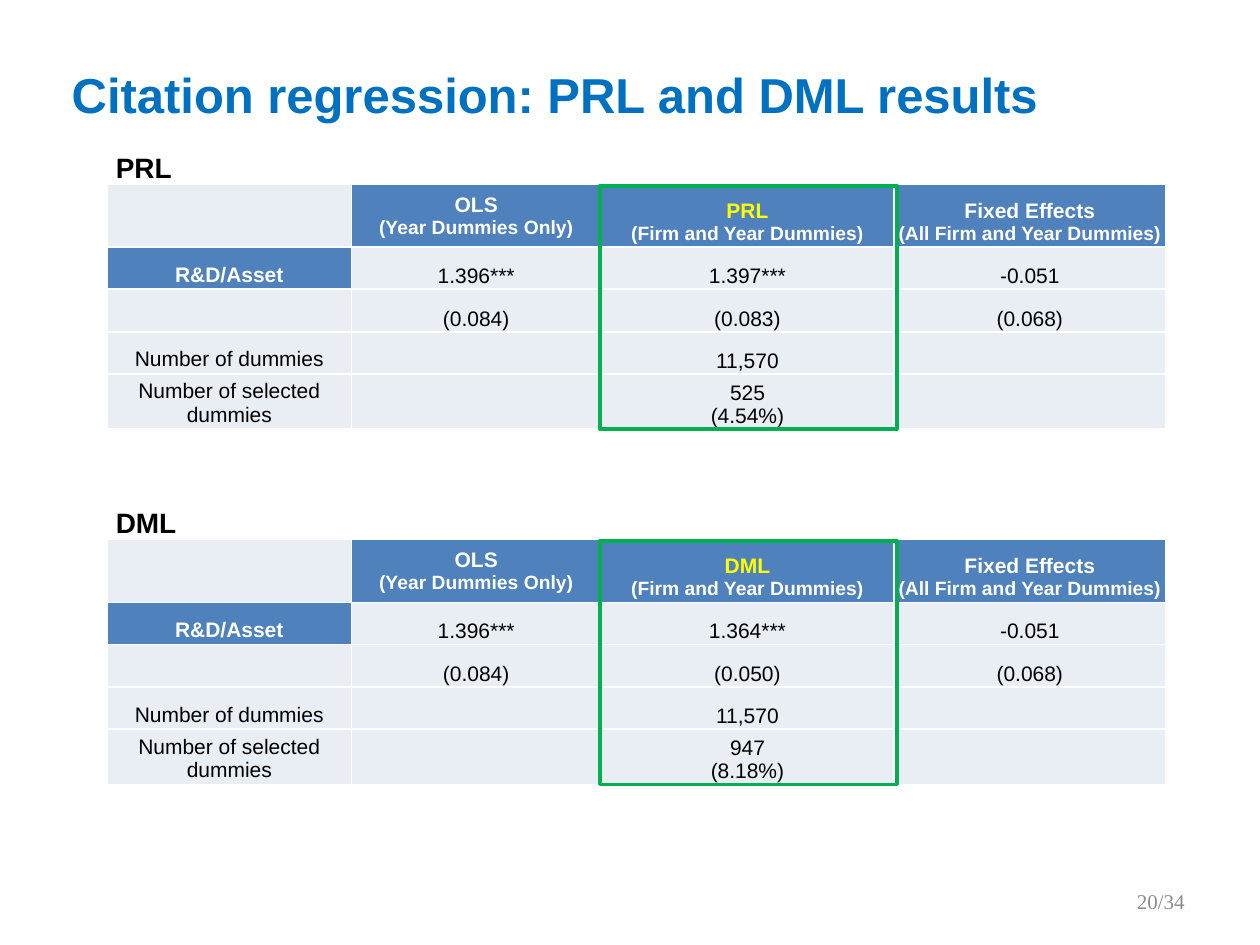
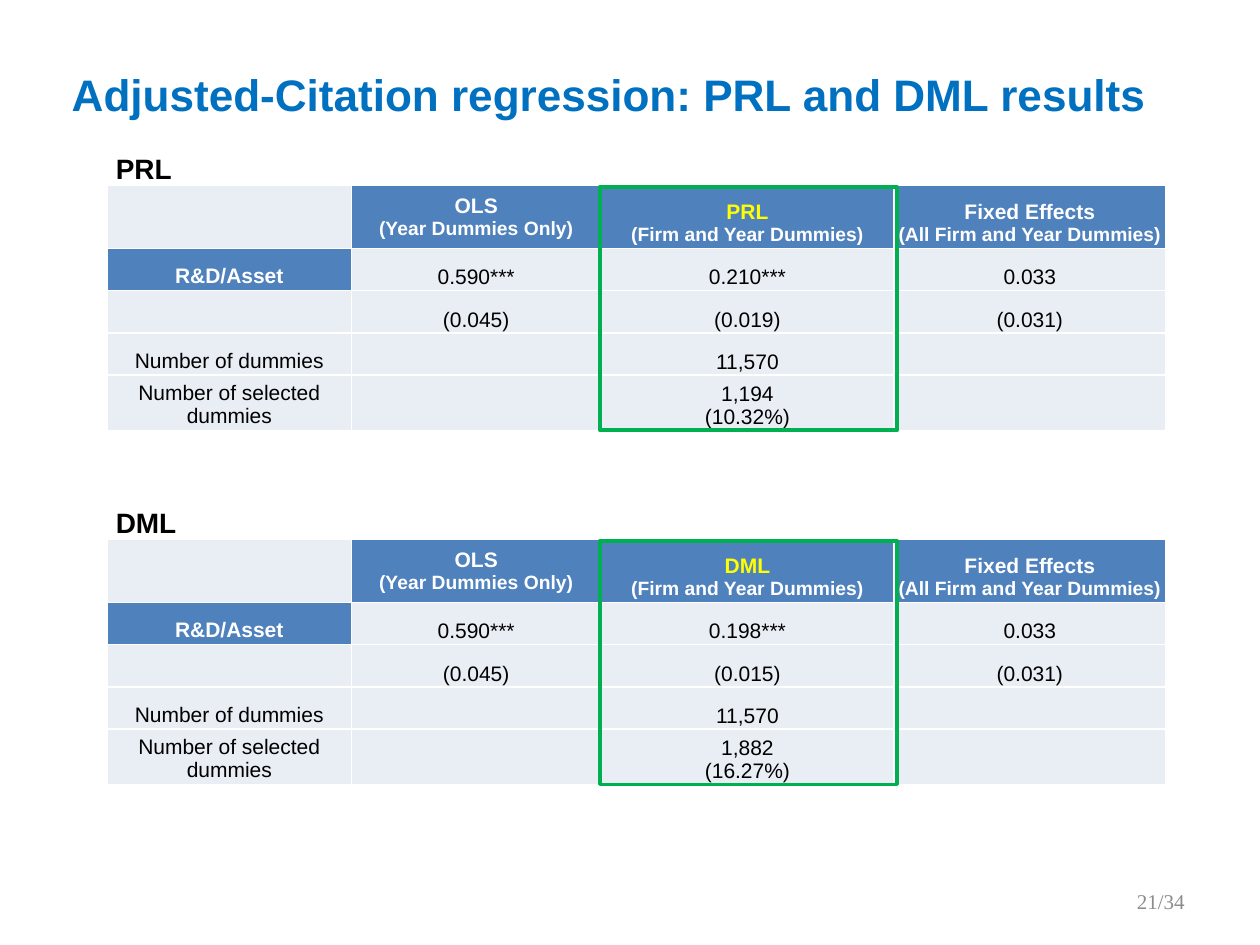
from lxml import etree
from pptx import Presentation
from pptx.dml.color import RGBColor
from pptx.enum.shapes import MSO_SHAPE
from pptx.enum.text import MSO_ANCHOR, MSO_AUTO_SIZE, PP_ALIGN
from pptx.oxml.ns import qn
from pptx.util import Pt

LEFT, CENTER, RIGHT = PP_ALIGN.LEFT, PP_ALIGN.CENTER, PP_ALIGN.RIGHT
MIDDLE, BOTTOM = MSO_ANCHOR.MIDDLE, MSO_ANCHOR.BOTTOM
RECTANGLE, NO_AUTOFIT = MSO_SHAPE.RECTANGLE, MSO_AUTO_SIZE.NONE

TITLE_BLUE = RGBColor(0x00, 0x70, 0xC0)
HEADER_BLUE = RGBColor(0x4F, 0x81, 0xBD)
BODY_GREY = RGBColor(0xE9, 0xED, 0xF4)
NUMBER_GREY = RGBColor(0x8C, 0x8C, 0x8C)
FRAME_GREEN = RGBColor(0x00, 0xB0, 0x50)
YELLOW = RGBColor(0xFF, 0xFF, 0x00)
WHITE = RGBColor(0xFF, 0xFF, 0xFF)
BLACK = RGBColor(0x00, 0x00, 0x00)

COLUMN_WIDTHS = [139.7, 142.5, 167.5, 155.2]
ROW_HEIGHTS = [20.2, 36, 24, 24, 24, 29.7]
TABLE_LEFT = 61.2
SLIDE_TOTAL = 34

# Per slide: number, title, title size, OLS and fixed-effects results,
# then per method: name, table top, estimate, error, selected dummies, share.
RESULTS = [
    (20, "Citation regression: PRL and DML results", 28,
     ("1.396***", "(0.084)"), ("-0.051", "(0.068)"),
     [("PRL", 85, "1.397***", "(0.083)", "525", "(4.54%)"),
      ("DML", 288, "1.364***", "(0.050)", "947", "(8.18%)")]),
    (21, "Adjusted-Citation regression: PRL and DML results", 25.2,
     ("0.590***", "(0.045)"), ("0.033", "(0.031)"),
     [("PRL", 85.7, "0.210***", "(0.019)", "1,194", "(10.32%)"),
      ("DML", 288, "0.198***", "(0.015)", "1,882", "(16.27%)")]),
]


def write(frame, text, sizes=(12,), colors=(BLACK,), bold=False,
          align=CENTER, font="Arial"):
    """Fill a text frame line by line; the last size and colour carry on."""
    for i, line in enumerate(text.split("\n")):
        paragraph = frame.paragraphs[0] if i == 0 else frame.add_paragraph()
        paragraph.alignment = align
        run = paragraph.add_run()
        run.text = line
        run.font.name = font
        run.font.size = Pt(sizes[min(i, len(sizes) - 1)])
        run.font.bold = bold
        run.font.color.rgb = colors[min(i, len(colors) - 1)]


def style_cell(cell, fill, anchor, side, end):
    """Set fill, anchor, margins and thin white borders."""
    cell.vertical_anchor = anchor
    cell.margin_left = cell.margin_right = Pt(side)
    cell.margin_top = cell.margin_bottom = Pt(end)
    properties = cell._tc.get_or_add_tcPr()
    for edge in ("a:lnL", "a:lnR", "a:lnT", "a:lnB"):
        border = etree.SubElement(properties, qn(edge), w=str(Pt(1)))
        border_fill = etree.SubElement(border, qn("a:solidFill"))
        etree.SubElement(border_fill, qn("a:srgbClr"), val=str(WHITE))
    cell.fill.solid()
    cell.fill.fore_color.rgb = fill


prs = Presentation()
prs.slide_width, prs.slide_height = Pt(720), Pt(540)

for number, heading, heading_size, ols, fixed, methods in RESULTS:
    slide = prs.slides.add_slide(prs.slide_layouts[5])

    title = slide.shapes.title
    title.left, title.top, title.width, title.height = Pt(33.8), Pt(22.3), Pt(648), Pt(62.6)
    title.text_frame.auto_size = NO_AUTOFIT
    title.text_frame.vertical_anchor = MIDDLE
    write(title.text_frame, heading, sizes=(heading_size,), colors=(TITLE_BLUE,),
          bold=True, align=LEFT)

    page = slide.shapes.add_textbox(Pt(516), Pt(500.5), Pt(168), Pt(28.8)).text_frame
    page.word_wrap = True
    page.vertical_anchor = MIDDLE
    write(page, f"{number}/{SLIDE_TOTAL}", colors=(NUMBER_GREY,), align=RIGHT,
          font="Times New Roman")

    for method, top, estimate, error, selected, share in methods:
        rows = [
            [method, "", "", ""],
            ["", "OLS\n(Year Dummies Only)", f"{method}\n(Firm and Year Dummies)",
             "Fixed Effects\n(All Firm and Year Dummies)"],
            ["R&D/Asset", ols[0], estimate, fixed[0]],
            ["", ols[1], error, fixed[1]],
            ["Number of dummies", "", "11,570", ""],
            ["Number of selected dummies", "", f"{selected}\n{share}", ""],
        ]
        table = slide.shapes.add_table(
            len(rows), len(COLUMN_WIDTHS), Pt(TABLE_LEFT), Pt(top),
            Pt(sum(COLUMN_WIDTHS)), Pt(sum(ROW_HEIGHTS))).table
        table.first_row = table.horz_banding = False
        for column, width in zip(table.columns, COLUMN_WIDTHS):
            column.width = Pt(width)
        for row, height in zip(table.rows, ROW_HEIGHTS):
            row.height = Pt(height)
        table.cell(0, 0).merge(table.cell(0, 3))

        for r, texts in enumerate(rows):
            for c, text in enumerate(texts):
                cell = table.cell(r, c)
                if r == 0:
                    style_cell(cell, WHITE, BOTTOM, 5, 0)
                    if text:
                        write(cell.text_frame, text, sizes=(16,), bold=True, align=LEFT)
                    continue
                is_header = bool(text) and (r == 1 or (r, c) == (2, 0))
                is_ols_header = (r, c) == (1, 1)
                is_wide = c == 0 or (r == 1 and not is_ols_header)
                style_cell(cell, HEADER_BLUE if is_header else BODY_GREY,
                           MIDDLE if is_ols_header else BOTTOM,
                           *((2.16, 1.44) if is_wide else (1.44, 0.72)))
                if is_header:
                    first_color = YELLOW if (r, c) == (1, 2) else WHITE
                    write(cell.text_frame, text, sizes=(12, 11),
                          colors=(first_color, WHITE), bold=True)
                elif text:
                    write(cell.text_frame, text)

        method_frame = slide.shapes.add_shape(
            RECTANGLE, Pt(342.7), Pt(top + 21.2), Pt(170), Pt(139))
        method_frame.shadow.inherit = False
        method_frame.fill.background()
        method_frame.line.color.rgb = FRAME_GREEN
        method_frame.line.width = Pt(2)

prs.save("out.pptx")
